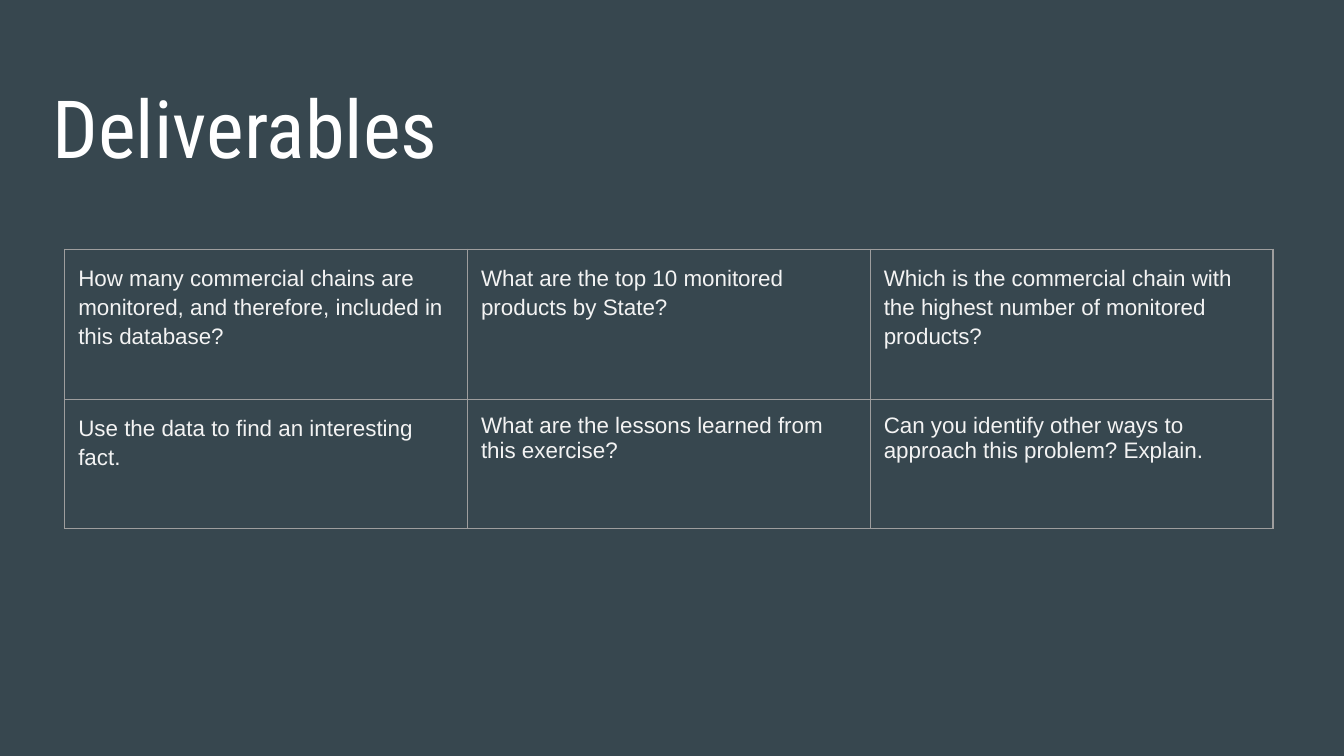
"""Build the Deliverables slide with its table of questions."""
from dataclasses import dataclass

from lxml.etree import SubElement
from pptx import Presentation
from pptx.dml.color import RGBColor as Color
from pptx.enum.text import MSO_ANCHOR as Anchor, MSO_AUTO_SIZE as AutoSize, PP_ALIGN as Align
from pptx.oxml.ns import qn
from pptx.util import Pt

TITLE = "Deliverables"
QUESTIONS = [
    [
        ("How many commercial chains are monitored, and therefore, included in this database?", 1.15, 0),
        ("What are the top 10 monitored products by State?", 1.15, 3),
        ("Which is the commercial chain with the highest number of monitored products?", 1.15, 3),
    ],
    [
        ("Use the data to find an interesting fact.", 1.15, 3),
        ("What are the lessons learned from this exercise?", 1, 0),
        ("Can you identify other ways to approach this problem? Explain.", 1, 0),
    ],
]
SLIDE_SIZE = (720, 405)
TITLE_BOX = (21, 37.5, 671, 60.5)
TABLE_ORIGIN = (34.75, 133.5)
COLUMN_WIDTH = 215.75
ROW_HEIGHTS = [80.5, 69]
INSET = 7.2


@dataclass(frozen=True)
class Theme:
    background: str = "37474F"
    title_color: str = "FFFFFF"
    text_color: str = "F3F3F3"
    border_color: str = "9E9E9E"
    border_width: float = 0.75
    title_font: str = "Roboto Condensed"
    text_font: str = "Arial"
    title_size: int = 43
    text_size: int = 12


THEME = Theme()


def format_runs(paragraph, font_name, size, color):
    for run in paragraph.runs:
        run.font.name = font_name
        run.font.size = Pt(size)
        run.font.bold = False
        run.font.color.rgb = Color.from_string(color)


def set_margins(target):
    for side in ("left", "right", "top", "bottom"):
        setattr(target, f"margin_{side}", Pt(INSET))


def draw_borders(cell):
    properties = cell._tc.get_or_add_tcPr()
    for position, tag in enumerate(("a:lnL", "a:lnR", "a:lnT", "a:lnB")):
        line = SubElement(properties, qn(tag), w=str(Pt(THEME.border_width)))
        fill = SubElement(line, qn("a:solidFill"))
        SubElement(fill, qn("a:srgbClr"), val=THEME.border_color)
        properties.insert(position, line)


def add_title(slide):
    title = slide.shapes.title
    title.left, title.top, title.width, title.height = map(Pt, TITLE_BOX)
    frame = title.text_frame
    frame.text = TITLE
    frame.word_wrap = True
    frame.auto_size = AutoSize.NONE
    frame.vertical_anchor = Anchor.MIDDLE
    set_margins(frame)
    paragraph = frame.paragraphs[0]
    paragraph.alignment = Align.LEFT
    format_runs(paragraph, THEME.title_font, THEME.title_size, THEME.title_color)


def fill_cell(cell, text, line_spacing, space_before):
    cell.fill.background()
    cell.vertical_anchor = Anchor.TOP
    set_margins(cell)
    draw_borders(cell)
    cell.text_frame.text = text
    paragraph = cell.text_frame.paragraphs[0]
    paragraph.alignment = Align.LEFT
    paragraph.line_spacing = line_spacing
    paragraph.space_before = Pt(space_before)
    format_runs(paragraph, THEME.text_font, THEME.text_size, THEME.text_color)


def add_questions(slide):
    column_count = len(QUESTIONS[0])
    box = (*TABLE_ORIGIN, COLUMN_WIDTH * column_count, sum(ROW_HEIGHTS))
    table = slide.shapes.add_table(len(QUESTIONS), column_count, *map(Pt, box)).table
    table.first_row = table.horz_banding = False
    for column in table.columns:
        column.width = Pt(COLUMN_WIDTH)
    for row, height, questions in zip(table.rows, ROW_HEIGHTS, QUESTIONS):
        row.height = Pt(height)
        for cell, question in zip(row.cells, questions):
            fill_cell(cell, *question)


def main():
    presentation = Presentation()
    presentation.slide_width, presentation.slide_height = map(Pt, SLIDE_SIZE)
    slide = presentation.slides.add_slide(presentation.slide_layouts.get_by_name("Title Only"))
    slide.background.fill.solid()
    slide.background.fill.fore_color.rgb = Color.from_string(THEME.background)
    add_title(slide)
    add_questions(slide)
    presentation.save("out.pptx")


if __name__ == "__main__":
    main()
